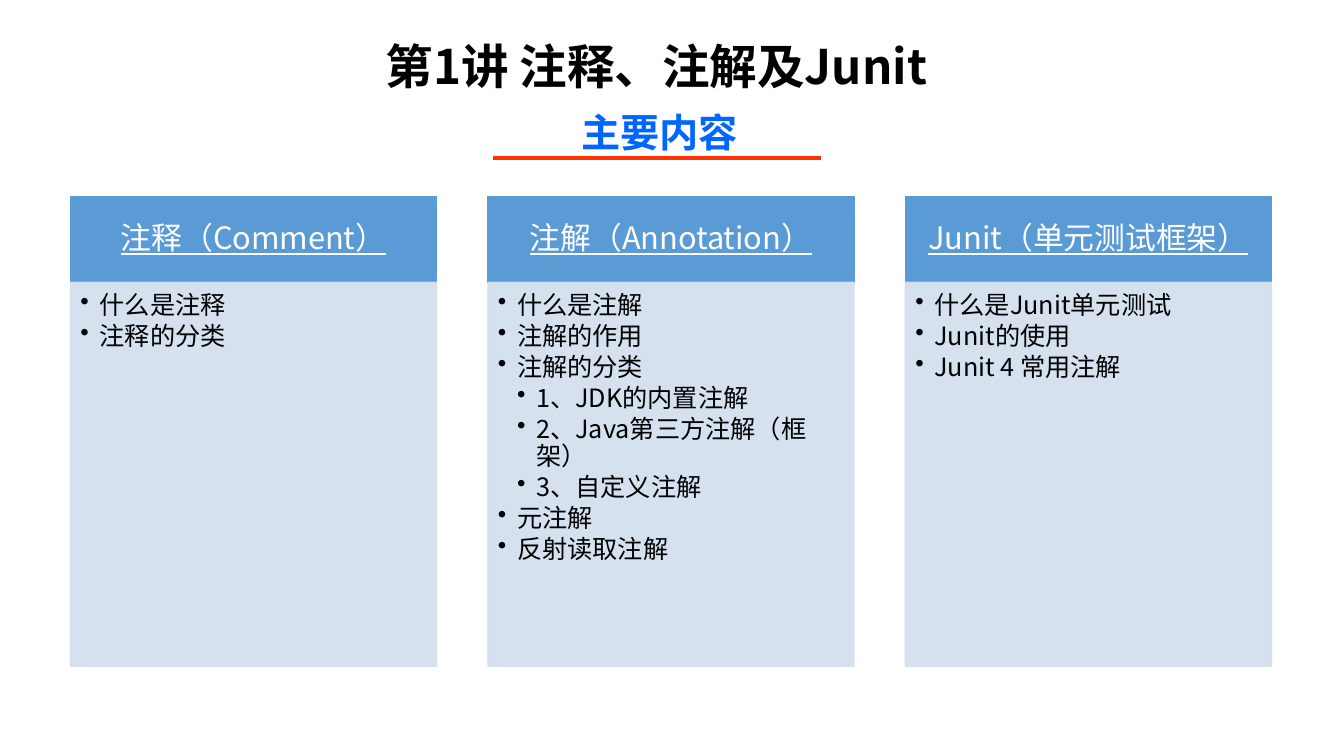
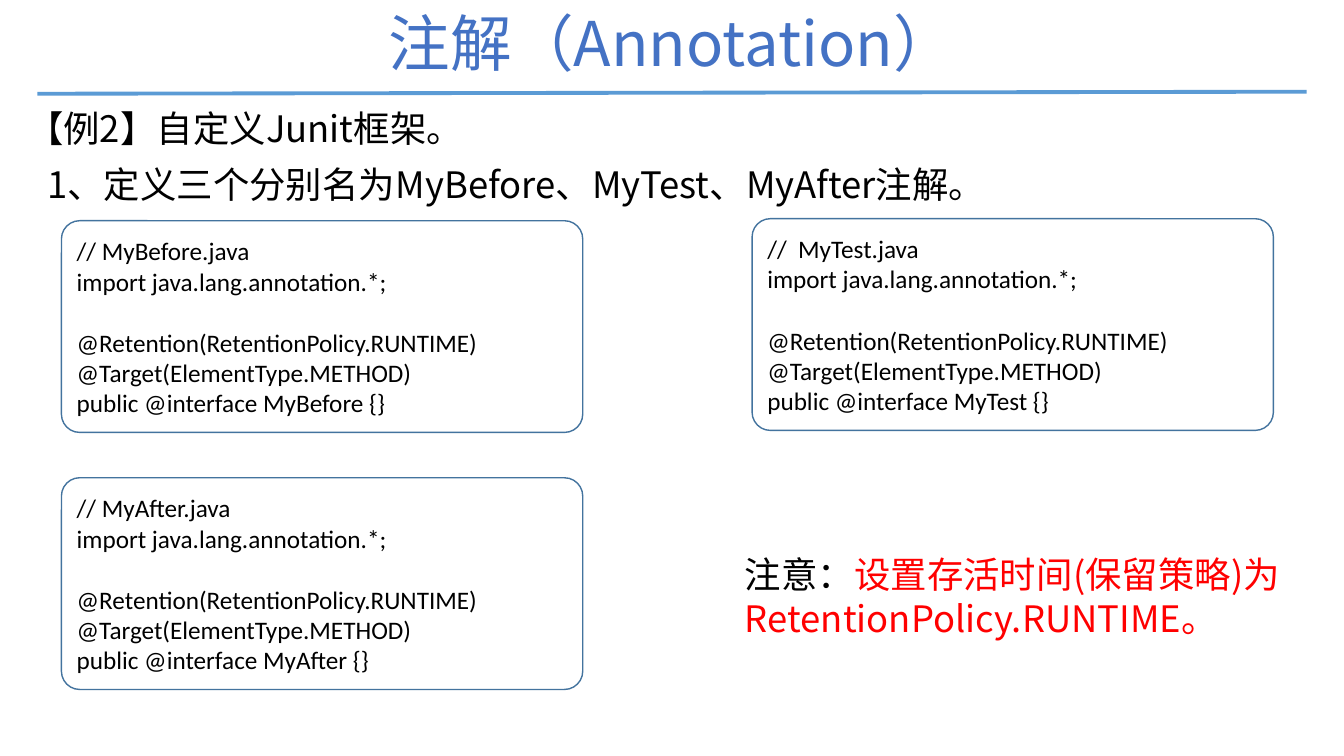
from lxml import etree
from pptx import Presentation
from pptx import util as u
from pptx.dml.color import RGBColor
from pptx.enum import shapes, text
from pptx.oxml import ns

CJK = "Noto Sans CJK SC"
LATIN = "Calibri"
BLACK, WHITE, RED = "000000", "FFFFFF", "FF0000"
BLUE, PALE_BLUE = "5B9BD5", "D2DEEF"
LEFT, CENTER = text.PP_ALIGN.LEFT, text.PP_ALIGN.CENTER
TOP, MIDDLE = text.MSO_ANCHOR.TOP, text.MSO_ANCHOR.MIDDLE
RECTANGLE = shapes.MSO_SHAPE.RECTANGLE
ROUNDED = shapes.MSO_SHAPE.ROUNDED_RECTANGLE


def color(hex_string):
    return RGBColor.from_string(hex_string)


def add_xml(parent, tag, **attributes):
    return etree.SubElement(parent, ns.qn(tag), **attributes)


class Deck:
    """Holds the shared style and the slide being built."""

    def __init__(self):
        self.presentation = Presentation()
        self.presentation.slide_width = u.Inches(13.33)
        self.presentation.slide_height = u.Inches(7.5)
        self.slide = None

    def new_slide(self):
        layout = self.presentation.slide_layouts[6]
        self.slide = self.presentation.slides.add_slide(layout)

    def style(self, paragraph, size, font=CJK, ink=BLACK, bold=False,
              underline=False, align=LEFT, spacing=None):
        paragraph.alignment = align
        if spacing:
            paragraph.line_spacing = spacing
        for run in paragraph.runs:
            run.font.size = u.Pt(size)
            run.font.name = font
            run.font.bold = bold
            run.font.underline = underline
            run.font.color.rgb = color(ink)
            add_xml(run.font._element, "a:ea", typeface=CJK)

    def frame(self, shape, anchor=TOP, insets=(0.1, 0.05, 0.1, 0.05)):
        frame = shape.text_frame
        frame.word_wrap = True
        frame.vertical_anchor = anchor
        (frame.margin_left, frame.margin_top,
         frame.margin_right, frame.margin_bottom) = map(u.Inches, insets)
        return frame

    def text_box(self, box, content, size, anchor=TOP, **look):
        shape = self.slide.shapes.add_textbox(*map(u.Inches, box))
        frame = self.frame(shape, anchor)
        frame.text = content
        self.style(frame.paragraphs[0], size, **look)
        return frame.paragraphs[0]

    def title(self, box, content, size, **look):
        self.text_box(box, content, size, MIDDLE, align=CENTER, spacing=0.9, **look)

    def rule(self, start, end, ink, width):
        line = self.slide.shapes.add_connector(
            shapes.MSO_CONNECTOR.STRAIGHT, *map(u.Inches, start + end))
        line.line.color.rgb = color(ink)
        line.line.width = u.Pt(width)
        add_xml(line._element.spPr, "a:effectLst")

    def block(self, kind, box, line, fill=None, opacity=None):
        shape = self.slide.shapes.add_shape(kind, *map(u.Inches, box))
        shape.line.color.rgb = color(line)
        shape.line.width = u.Pt(1)
        if fill:
            shape.fill.solid()
            shape.fill.fore_color.rgb = color(fill)
        else:
            shape.fill.background()
        if opacity:
            for tint in shape._element.spPr.iter(ns.qn("a:srgbClr")):
                add_xml(tint, "a:alpha", val=str(opacity * 1000))
        shape.shadow.inherit = False
        return shape

    def bullet(self, paragraph, level):
        paragraph.level = level
        paragraph.space_after = u.Pt(2.7)
        properties = paragraph._p.get_or_add_pPr()
        step = u.Inches(0.19)
        properties.set("marL", str(step * (level + 1)))
        properties.set("indent", str(-step))
        add_xml(properties, "a:buChar", char="•")

    def topic_column(self, left, heading, items):
        width, top, head_height, body_height = 3.63, 1.95, 0.85, 3.81
        head = self.block(RECTANGLE, (left, top, width, head_height), BLUE, BLUE)
        frame = self.frame(head, MIDDLE, (0.17, 0.1, 0.17, 0.1))
        frame.text = heading
        self.style(frame.paragraphs[0], 22, ink=WHITE, underline=True,
                   align=CENTER, spacing=0.9)

        body = self.block(RECTANGLE, (left, top + head_height, width, body_height),
                          PALE_BLUE, PALE_BLUE, opacity=90)
        frame = self.frame(body, TOP, (0.1, 0.1, 0.14, 0.16))
        frame.text = "\n".join(item for level, item in items)
        for paragraph, (level, item) in zip(frame.paragraphs, items):
            self.style(paragraph, 18, spacing=0.9)
            self.bullet(paragraph, level)

    def code_card(self, left, top, comment, name):
        card = self.block(ROUNDED, (left, top, 5.17, 2.1), "43739E")
        card.adjustments[0] = 0.086
        lines = [comment, "import java.lang.annotation.*;",
                 "@Retention(RetentionPolicy.RUNTIME)",
                 "@Target(ElementType.METHOD)",
                 f"public @interface {name} {{}}"]
        frame = self.frame(card, MIDDLE)
        frame.text = "\n".join(lines)
        for paragraph in frame.paragraphs:
            self.style(paragraph, 18, font=LATIN)
        # One line of space between the import and the annotations
        frame.paragraphs[2].space_before = u.Pt(22)


def contents_slide(deck):
    deck.new_slide()

    # Heading
    deck.title((2.99, 0.12, 7.04, 1.13), "第1讲 注释、注解及Junit", 34, bold=True)
    subtitle = deck.text_box((2.04, 0.79, 9, 0.9), "主要内容", 28, font=LATIN,
                             ink="0066FF", bold=True, align=CENTER, spacing=1.5)
    subtitle.space_before = u.Pt(10)
    deck.rule((4.89, 1.57), (8.14, 1.57), "FF3300", 3)

    # Three topics: heading, then (level, item)
    topics = [
        ("注释（Comment）", [(0, "什么是注释"), (0, "注释的分类")]),
        ("注解（Annotation）", [
            (0, "什么是注解"), (0, "注解的作用"), (0, "注解的分类"),
            (1, "1、JDK的内置注解"), (1, "2、Java第三方注解（框架）"),
            (1, "3、自定义注解"), (0, "元注解"), (0, "反射读取注解")]),
        ("Junit（单元测试框架）", [
            (0, "什么是Junit单元测试"), (0, "Junit的使用"), (0, "Junit 4 常用注解")]),
    ]
    for index, (heading, items) in enumerate(topics):
        deck.topic_column(0.7 + 4.14 * index, heading, items)


def annotation_slide(deck):
    deck.new_slide()

    # Heading
    deck.rule((0.37, 0.93), (12.96, 0.91), BLUE, 2.75)
    deck.title((0.37, -0.26, 12.59, 1.45), "注解（Annotation）", 44, ink="4472C4")

    # Example and first step
    deck.text_box((0.17, 1, 9.05, 0.54), "【例2】自定义Junit框架。", 26)
    deck.text_box((0.37, 1.56, 11.52, 0.54),
                  "1、定义三个分别名为MyBefore、MyTest、MyAfter注解。", 26)

    # Note with its advice in red
    note = deck.text_box((7.29, 5.43, 5.67, 0.98), "注意：", 26)
    advice = note.add_run()
    advice.text = "设置存活时间(保留策略)为RetentionPolicy.RUNTIME。"
    deck.style(note, 26)
    advice.font.color.rgb = color(RED)

    # Code cards
    deck.code_card(0.61, 2.19, "// MyBefore.java", "MyBefore")
    deck.code_card(0.61, 4.74, "// MyAfter.java", "MyAfter")
    deck.code_card(7.46, 2.17, "//  MyTest.java", "MyTest")


def main():
    deck = Deck()
    contents_slide(deck)
    annotation_slide(deck)
    deck.presentation.save("out.pptx")


if __name__ == "__main__":
    main()
